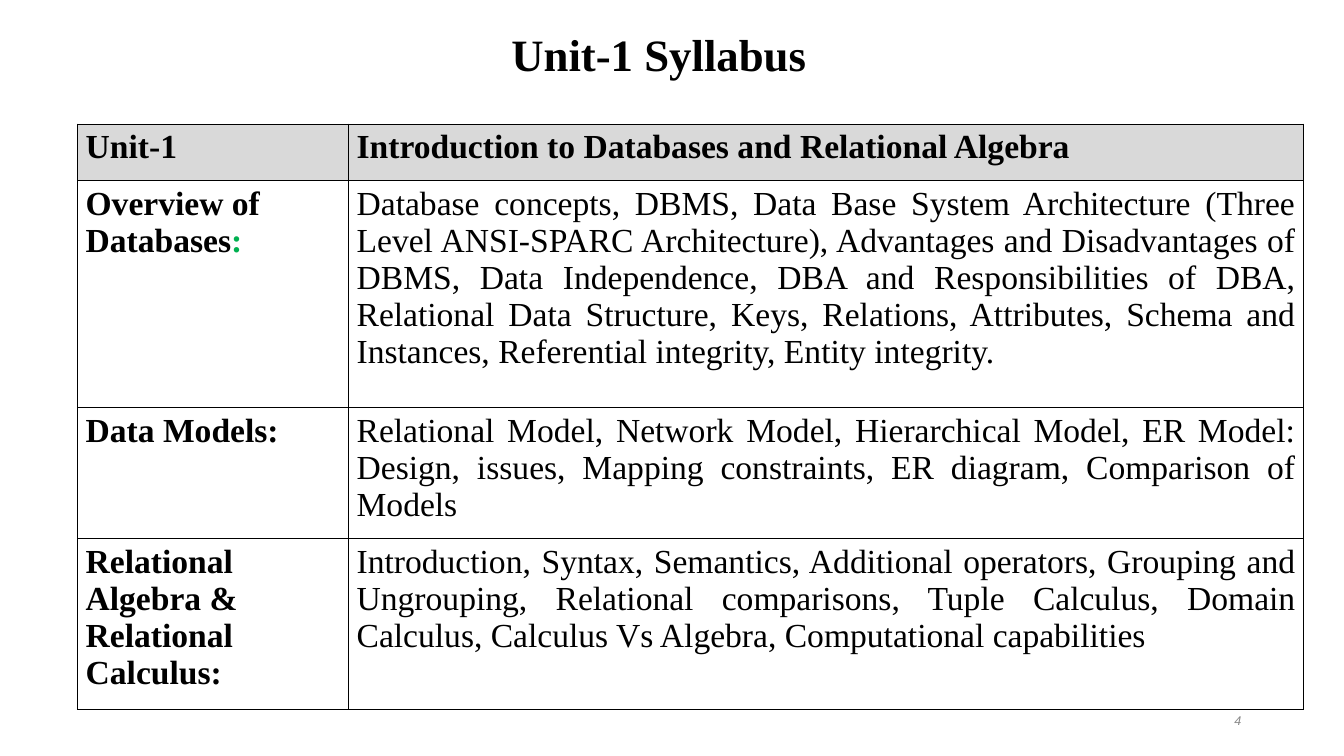
import pptx
import pptx.dml.color
import pptx.enum.text
import pptx.oxml
import pptx.oxml.ns
import pptx.util
from pptx.util import Inches

HEADING = "Unit-1 Syllabus"
PAGE_NUMBER = "4"
# Each row: topic, coloured ending of the topic, contents
SYLLABUS = [
    ("Unit-1", "", "Introduction to Databases and Relational Algebra"),
    ("Overview of Databases", ":",
     "Database concepts, DBMS, Data Base System Architecture (Three Level "
     "ANSI-SPARC Architecture), Advantages and Disadvantages of DBMS, Data "
     "Independence, DBA and Responsibilities of DBA, Relational Data Structure, "
     "Keys, Relations, Attributes, Schema and Instances, Referential integrity, "
     "Entity integrity."),
    ("Data Models:", "",
     "Relational Model, Network Model, Hierarchical Model, ER Model: Design, "
     "issues, Mapping constraints, ER diagram, Comparison of Models"),
    ("Relational Algebra & Relational Calculus:", "",
     "Introduction, Syntax, Semantics, Additional operators, Grouping and "
     "Ungrouping, Relational comparisons, Tuple Calculus, Domain Calculus, "
     "Calculus Vs Algebra, Computational capabilities"),
]
COLUMN_WIDTHS = [2.69, 9.48]
ROW_HEIGHTS = [0.56, 2.25, 1.2, 1.69]
BLACK, WHITE, GREEN, HEADER_GREY, NUMBER_GREY = (
    "000000", "FFFFFF", "00B050", "D9D9D9", "898989")
ALIGN = pptx.enum.text.PP_ALIGN
MIDDLE = pptx.enum.text.MSO_ANCHOR.MIDDLE


def paint(target, color):
    """Give a font or a fill a solid colour."""
    fill = target.fill
    fill.solid()
    fill.fore_color.rgb = pptx.dml.color.RGBColor.from_string(color)


def write(frame, text, ending="", size=24, font="Times New Roman", color=BLACK,
          bold=False, italic=False, align=ALIGN.LEFT, spacing=None):
    """Fill a text frame; a non-empty ending is set in green."""
    frame.word_wrap = True
    paragraph = frame.paragraphs[0]
    paragraph.alignment = align
    paragraph.line_spacing = spacing
    for words, shade in ((text, color), (ending, GREEN)):
        if words:
            run = paragraph.add_run()
            run.text = words
            run.font.size = pptx.util.Pt(size)
            run.font.name = font
            run.font.bold = bold
            run.font.italic = italic
            paint(run.font, shade)


def add_borders(cell, color=BLACK, width=0.45):
    properties = cell._tc.get_or_add_tcPr()
    for side in ("lnL", "lnR", "lnT", "lnB"):
        properties.append(pptx.oxml.parse_xml(
            f'<a:{side} {pptx.oxml.ns.nsdecls("a")} w="{pptx.util.Pt(width)}">'
            f'<a:solidFill><a:srgbClr val="{color}"/></a:solidFill></a:{side}>'))


def add_syllabus(slide):
    table = slide.shapes.add_table(
        len(SYLLABUS), len(COLUMN_WIDTHS), Inches(0.77), Inches(1.23),
        Inches(sum(COLUMN_WIDTHS)), Inches(sum(ROW_HEIGHTS))).table
    table.first_row = table.horz_banding = False
    for column, width in zip(table.columns, COLUMN_WIDTHS):
        column.width = Inches(width)
    for row, height in zip(table.rows, ROW_HEIGHTS):
        row.height = Inches(height)

    for index, (topic, ending, contents) in enumerate(SYLLABUS):
        header = index == 0
        topic_cell, contents_cell = table.rows[index].cells
        for cell in (topic_cell, contents_cell):
            cell.margin_left = cell.margin_right = Inches(0.08)
            cell.margin_top = cell.margin_bottom = Inches(0.05)
            add_borders(cell)
            paint(cell, HEADER_GREY if header else WHITE)
        write(topic_cell.text_frame, topic, ending, bold=True,
              align=ALIGN.JUSTIFY if header else ALIGN.LEFT)
        write(contents_cell.text_frame, contents, bold=header, align=ALIGN.JUSTIFY)


def main():
    deck = pptx.Presentation()
    deck.slide_width, deck.slide_height = Inches(13.34), Inches(7.5)
    slide = deck.slides.add_slide(deck.slide_layouts.get_by_name("Title Only"))
    paint(slide.background, WHITE)

    heading = slide.shapes.title
    heading.left, heading.top = Inches(0.79), Inches(0.1)
    heading.width, heading.height = Inches(11.5), Inches(0.94)
    heading.text_frame.vertical_anchor = MIDDLE
    write(heading.text_frame, HEADING, size=32, bold=True,
          align=ALIGN.CENTER, spacing=0.9)

    number = slide.shapes.add_textbox(Inches(9.42), Inches(6.95), Inches(3), Inches(0.4))
    number.text_frame.vertical_anchor = MIDDLE
    write(number.text_frame, PAGE_NUMBER, size=9, font="Arial",
          color=NUMBER_GREY, italic=True, align=ALIGN.RIGHT)

    add_syllabus(slide)
    deck.save("out.pptx")


if __name__ == "__main__":
    main()
